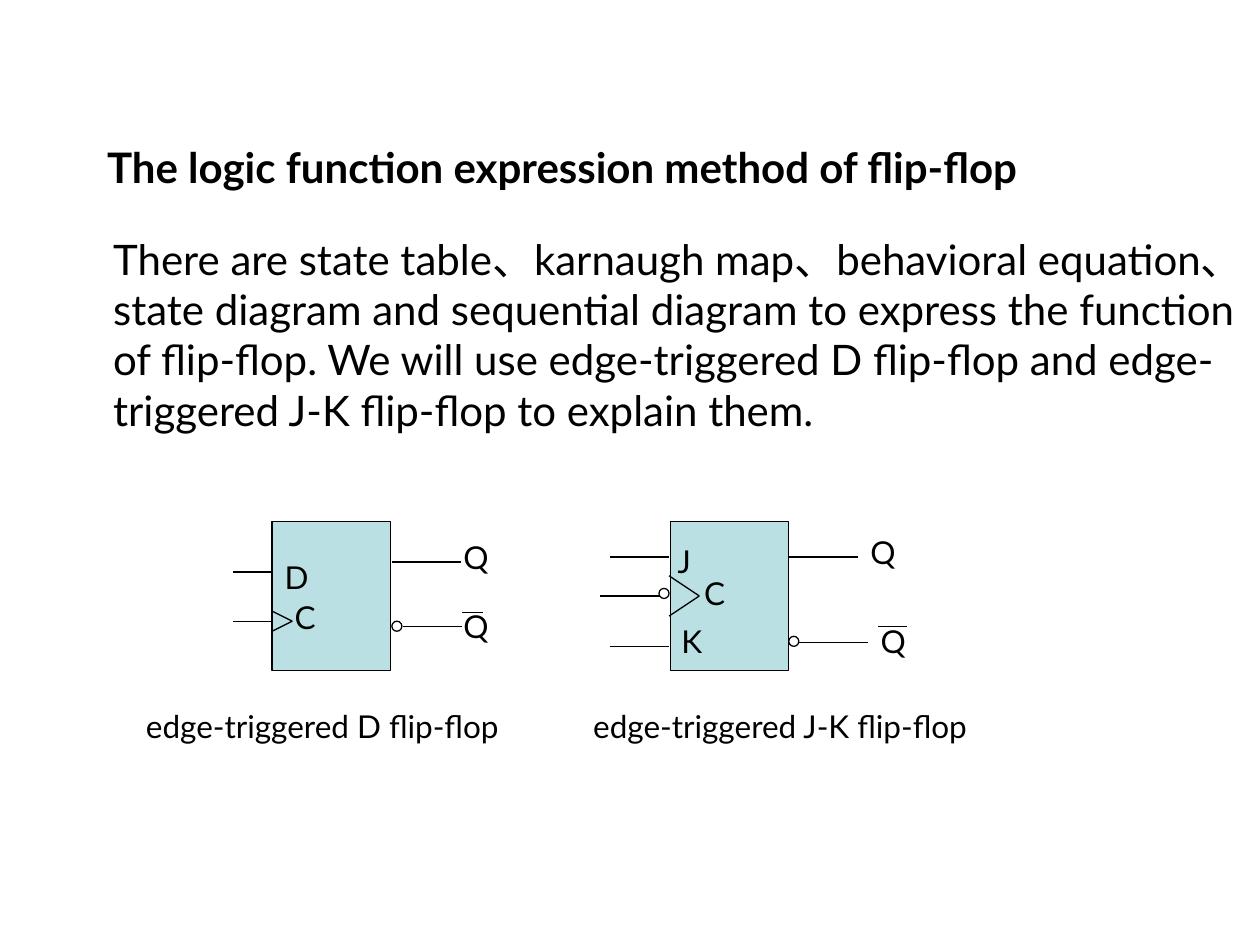
from dataclasses import dataclass

from lxml import etree
from pptx import Presentation
from pptx.dml.color import RGBColor
from pptx.enum import shapes, text
from pptx.oxml import ns
from pptx.util import Pt

PX = 9144
FONT = "Lato"
INK, PAPER, BODY = "000000", "FFFFFF", "BBE0E3"
BODY_WIDTH, BODY_HEIGHT = 94, 118
BUBBLE = 8
LABEL_WIDTH, LABEL_HEIGHT = 39, 40


@dataclass(frozen=True)
class Wire:
    x1: int
    y1: int
    x2: int
    y2: int


@dataclass(frozen=True)
class Label:
    words: str
    left: int
    top: int
    width: int = LABEL_WIDTH
    height: int = LABEL_HEIGHT


@dataclass(frozen=True)
class FlipFlop:
    left: int
    top: int
    wires: tuple[Wire, ...]
    bubbles: tuple[tuple[int, int], ...]
    pins: tuple[Label, ...]


FLIP_FLOPS = (
    FlipFlop(
        216, 414,
        (
            Wire(185, 454, 216, 454), Wire(185, 493, 216, 493),
            Wire(311, 446, 366, 446), Wire(320, 497, 367, 497),
            Wire(216, 485, 232, 493), Wire(232, 493, 216, 501),
            Wire(367, 486, 383, 486),
        ),
        ((311, 493),),
        (
            Label("D", 216, 438), Label("C", 224, 470, 47),
            Label("Q", 358, 422), Label("Q", 358, 477),
        ),
    ),
    FlipFlop(
        532, 414,
        (
            Wire(484, 442, 531, 442), Wire(476, 473, 524, 473),
            Wire(484, 513, 531, 513), Wire(626, 442, 681, 442),
            Wire(634, 510, 689, 510), Wire(531, 457, 555, 473),
            Wire(555, 473, 531, 489), Wire(697, 497, 720, 497),
        ),
        ((626, 505), (523, 467)),
        (
            Label("C", 549, 451), Label("J", 528, 425), Label("K", 531, 489),
            Label("Q", 681, 418), Label("Q", 689, 489),
        ),
    ),
)

TITLE = Label("The logic function expression method of flip-flop", 75, 107, 834, 50)
EXPLANATION = Label(
    "There are state table、karnaugh map、behavioral equation、\n"
    "state diagram and sequential diagram to express the function\n"
    "of flip-flop. We will use edge-triggered D flip-flop and edge-\n"
    "triggered J-K flip-flop to explain them.",
    80, 180, 924, 172,
)
CAPTIONS = (
    Label("edge-triggered D flip-flop", 106, 556, 300),
    Label("edge-triggered J-K flip-flop", 461, 556, 386),
)


def px(*lengths: int) -> list[int]:
    return [length * PX for length in lengths]


def colour(value: str) -> RGBColor:
    return RGBColor.from_string(value)


def write(box, words: str, size: int, bold: bool = False) -> None:
    frame = box.text_frame
    frame.text = words
    frame.word_wrap = True
    frame.auto_size = text.MSO_AUTO_SIZE.SHAPE_TO_FIT_TEXT
    frame.vertical_anchor = text.MSO_ANCHOR.TOP
    for para in frame.paragraphs:
        para.alignment = text.PP_ALIGN.LEFT
        para.font.name = FONT
        para.font.size = Pt(size)
        para.font.bold = bold
        para.font.color.rgb = colour(INK)


def add_label(parent, label: Label, size: int = 18) -> None:
    box = parent.add_textbox(*px(label.left, label.top, label.width, label.height))
    write(box, label.words, size)


def outline(item) -> None:
    item.line.color.rgb = colour(INK)
    item.line.width = Pt(0.75)


def add_solid(parent, kind, fill: str, *place: int) -> None:
    solid = parent.add_shape(kind, *px(*place))
    solid.shadow.inherit = False
    solid.fill.solid()
    solid.fill.fore_color.rgb = colour(fill)
    outline(solid)


def add_wire(parent, wire: Wire) -> None:
    line = parent.add_connector(
        shapes.MSO_CONNECTOR.STRAIGHT, *px(wire.x1, wire.y1, wire.x2, wire.y2)
    )
    outline(line)
    etree.SubElement(line._element.spPr, ns.qn("a:effectLst"))


def add_flip_flop(page, part: FlipFlop) -> None:
    group = page.shapes.add_group_shape().shapes
    add_solid(group, shapes.MSO_SHAPE.RECTANGLE, BODY,
              part.left, part.top, BODY_WIDTH, BODY_HEIGHT)
    for wire in part.wires:
        add_wire(group, wire)
    for left, top in part.bubbles:
        add_solid(group, shapes.MSO_SHAPE.OVAL, PAPER, left, top, BUBBLE, BUBBLE)
    for pin in part.pins:
        add_label(group, pin)


def main() -> None:
    deck = Presentation()
    deck.slide_width, deck.slide_height = px(1000, 750)
    page = deck.slides.add_slide(deck.slide_layouts[5])
    title = page.shapes.title
    title.left, title.top, title.width, title.height = px(
        TITLE.left, TITLE.top, TITLE.width, TITLE.height
    )
    write(title, TITLE.words, 24, bold=True)
    add_label(page.shapes, EXPLANATION, 24)
    for part in FLIP_FLOPS:
        add_flip_flop(page, part)
    for caption in CAPTIONS:
        add_label(page.shapes, caption)
    deck.save("out.pptx")


if __name__ == "__main__":
    main()
